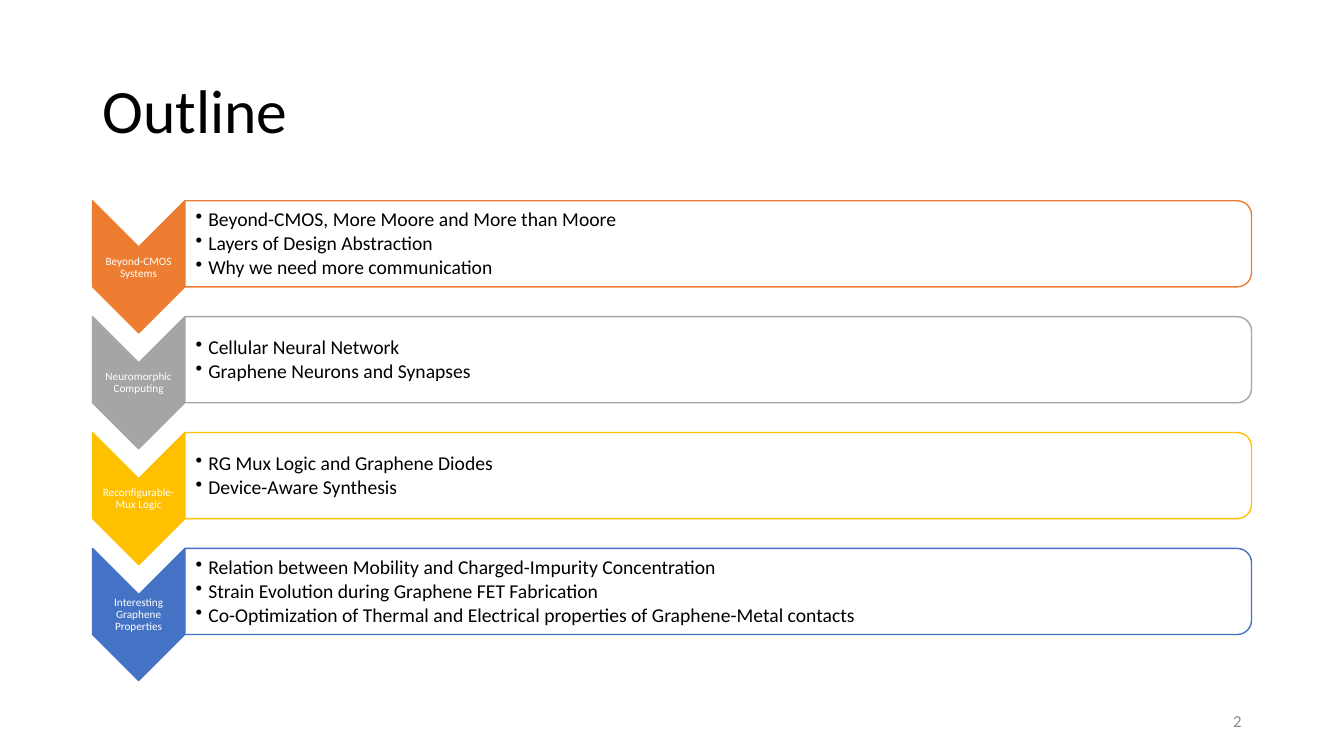
from lxml import etree
from pptx import Presentation, util as u
from pptx.dml.color import RGBColor
from pptx.enum import shapes, text
from pptx.oxml.ns import qn

ROWS = [
    ("ED7D31", "Beyond-CMOS Systems",
     ["Beyond-CMOS, More Moore and More than Moore",
      "Layers of Design Abstraction",
      "Why we need more communication"]),
    ("A5A5A5", "Neuromorphic Computing",
     ["Cellular Neural Network", "Graphene Neurons and Synapses"]),
    ("FFC000", "Reconfigurable-Mux Logic",
     ["RG Mux Logic and Graphene Diodes", "Device-Aware Synthesis"]),
    ("4472C4", "Interesting Graphene Properties",
     ["Relation between Mobility and Charged-Impurity Concentration",
      "Strain Evolution during Graphene FET Fabrication",
      "Co-Optimization of Thermal and Electrical properties of Graphene-Metal contacts"]),
]
TOP, STEP = 5.06, 2.92


def tint(code):
    return RGBColor.from_string(code)


def write(frame, lines, size, color="000000", align="LEFT", lead=0.9,
          after=0, bullet=False, pads=(0.25, 0.13, 0.25, 0.13)):
    frame.word_wrap = True
    frame.auto_size = text.MSO_AUTO_SIZE.NONE
    frame.vertical_anchor = text.MSO_ANCHOR.MIDDLE
    (frame.margin_left, frame.margin_top,
     frame.margin_right, frame.margin_bottom) = map(u.Cm, pads)
    for i, line in enumerate(lines):
        para = frame.add_paragraph() if i else frame.paragraphs[0]
        para.alignment = getattr(text.PP_ALIGN, align)
        para.line_spacing = lead
        para.space_before = u.Pt(0)
        para.space_after = u.Pt(after)
        if bullet:
            para.level = 1
            props = para._p.get_or_add_pPr()
            props.set("marL", str(u.Cm(0.32)))
            props.set("indent", str(u.Cm(-0.32)))
            etree.SubElement(props, qn("a:buChar")).set("char", "•")
        run = para.add_run()
        run.text = line
        run.font.name = "Calibri"
        run.font.size = u.Pt(size)
        run.font.color.rgb = tint(color)


class Deck:
    """Holds the style and the current slide."""

    def __init__(self):
        self.prs = Presentation()
        self.prs.slide_width, self.prs.slide_height = u.Cm(33.87), u.Cm(19.05)
        self.slide = self.prs.slides.add_slide(self.prs.slide_layouts[5])

    def title(self, words, left, top, width, height):
        head = self.slide.shapes.title
        head.left, head.top = u.Cm(left), u.Cm(top)
        head.width, head.height = u.Cm(width), u.Cm(height)
        write(head.text_frame, [words], 44)

    def label(self, lines, left, top, width, height, size, **style):
        box = self.slide.shapes.add_textbox(*map(u.Cm, (left, top, width, height)))
        write(box.text_frame, lines, size, **style)

    def turned(self, kind, left, top, width, height, fill, line, alpha=100):
        x = left + (width - height) / 2
        y = top + (height - width) / 2
        shape = self.slide.shapes.add_shape(kind, *map(u.Cm, (x, y, height, width)))
        shape.rotation = 90
        shape.shadow.inherit = False
        shape.fill.solid()
        shape.fill.fore_color.rgb = tint(fill)
        shape.line.color.rgb = tint(line)
        shape.line.width = u.Pt(1)
        if alpha < 100:
            color = shape._element.spPr.find(qn("a:solidFill"))[0]
            etree.SubElement(color, qn("a:alpha")).set("val", str(alpha * 1000))


def main():
    deck = Deck()
    deck.title("Outline", 2.33, 1.01, 29.21, 3.68)
    kinds = shapes.MSO_SHAPE
    for i, (color, name, points) in enumerate(ROWS):
        top = TOP + STEP * i
        deck.turned(kinds.CHEVRON, 2.33, top, 2.33, 3.33, color, color)
        deck.label([name], 2.33, top + 1.18, 2.33, 1, 8, color="FFFFFF",
                   align="CENTER", pads=(0.01,) * 4)
        deck.turned(kinds.ROUND_2_SAME_RECTANGLE, 4.66, top, 26.88, 2.17,
                    "FFFFFF", color, alpha=90)
        deck.label(points, 4.66, top + 0.12, 26.77, 1.96, 14, after=2,
                   bullet=True, pads=(0.27, 0.02, 0.02, 0.02))
    deck.label(["2"], 23.92, 17.66, 7.62, 1.01, 12, color="8C8C8C",
               align="RIGHT", lead=1.0)
    deck.prs.save("out.pptx")


if __name__ == "__main__":
    main()
